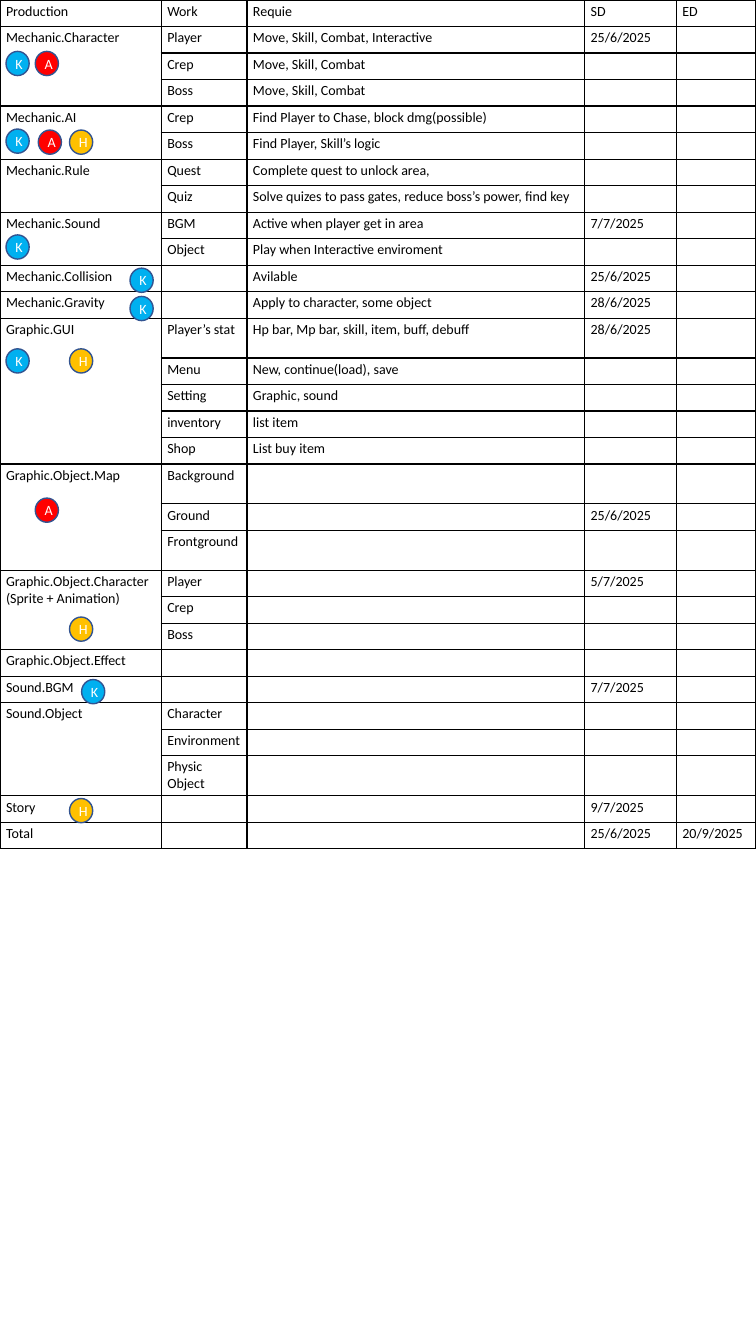
"""Build the game production schedule slide: one task table with member badges."""
from lxml import etree
from pptx import Presentation
from pptx import util as u
from pptx.dml.color import RGBColor
from pptx.enum import shapes, text
from pptx.oxml.ns import qn

COLORS = {"ink": "000000", "white": "FFFFFF", "outline": "325491",
          "K": "00B0F0", "A": "FF0000", "H": "FFC000"}
INSETS = {"left": 0.06, "top": 0.03, "right": 0.06, "bottom": 0.03}


def write(holder, paragraphs, frame, size=10, color="ink", align=None):
    for side, inset in INSETS.items():
        setattr(holder, f"margin_{side}", u.Inches(inset))
    frame.text = paragraphs
    for paragraph in frame.paragraphs:
        paragraph.alignment = align
        if not paragraph.runs:
            paragraph._p.get_or_add_endParaRPr().set("sz", str(size * 100))
        for run in paragraph.runs:
            run.font.size = u.Pt(size)
            run.font.name = "Calibri"
            run.font.color.rgb = RGBColor.from_string(COLORS[color])


def outline_cell(cell):
    cell.fill.background()
    properties = cell._tc.get_or_add_tcPr()
    for position, edge in enumerate(("lnL", "lnR", "lnT", "lnB")):
        border = etree.Element(qn(f"a:{edge}"), w=str(u.Pt(1)))
        fill = etree.SubElement(border, qn("a:solidFill"))
        etree.SubElement(fill, qn("a:srgbClr"), val=COLORS["ink"])
        properties.insert(position, border)


productions = [
    ("Production", [("Work", "Requie", "SD", "ED")]),
    ("Mechanic.Character", [
        ("Player", "Move, Skill, Combat, Interactive", "25/6/2025", ""),
        ("Crep", "Move, Skill, Combat", "", ""),
        ("Boss", "Move, Skill, Combat", "", "")]),
    ("Mechanic.AI", [
        ("Crep", "Find Player to Chase, block dmg(possible)", "", ""),
        ("Boss", "Find Player, Skill’s logic", "", "")]),
    ("Mechanic.Rule", [
        ("Quest", "Complete quest to unlock area,", "", ""),
        ("Quiz", "Solve quizes to pass gates, reduce boss’s power, find key", "", "")]),
    ("Mechanic.Sound", [
        ("BGM", "Active when player get in area", "7/7/2025", ""),
        ("Object", "Play when Interactive enviroment", "", "")]),
    ("Mechanic.Collision", [("", "Avilable", "25/6/2025", "")]),
    ("Mechanic.Gravity", [("", "Apply to character, some object", "28/6/2025", "")]),
    ("Graphic.GUI", [
        ("Player’s stat", "Hp bar, Mp bar, skill, item, buff, debuff", "28/6/2025", ""),
        ("Menu", "New, continue(load), save", "", ""),
        ("Setting", "Graphic, sound", "", ""),
        ("inventory", "list item", "", ""),
        ("Shop", "List buy item", "", "")]),
    ("Graphic.Object.Map", [
        ("Background", "", "", ""),
        ("Ground", "", "25/6/2025", ""),
        ("Frontground", "", "", "")]),
    ("Graphic.Object.Character\n(Sprite + Animation)", [
        ("Player", "", "5/7/2025", ""),
        ("Crep", "", "", ""),
        ("Boss", "", "", "")]),
    ("Graphic.Object.Effect", [("", "", "", "")]),
    ("Sound.BGM", [("", "", "7/7/2025", "")]),
    ("Sound.Object", [
        ("Character", "", "", ""),
        ("Environment", "", "", ""),
        ("Physic Object", "", "", "")]),
    ("Story", [("", "", "9/7/2025", "")]),
    ("Total", [("", "", "25/6/2025", "20/9/2025")]),
]
tall_works = {"Player’s stat", "Background", "Frontground", "Physic Object"}
column_widths = [1.6, 0.85, 3.35, 0.91, 0.79]
table_height = 8.42

deck = Presentation()
deck.slide_width, deck.slide_height = u.Inches(7.5), u.Inches(13.33)
slide = deck.slides.add_slide(deck.slide_layouts[6])

task_count = sum(len(tasks) for _, tasks in productions)
row_height = table_height / (task_count + len(tall_works) / 2)
schedule = slide.shapes.add_table(task_count, len(column_widths), 0, 0,
                                  deck.slide_width, u.Inches(table_height)).table
schedule.first_row = schedule.horz_banding = False
for column, width in zip(schedule.columns, column_widths):
    column.width = u.Inches(width)

row = 0
for production, tasks in productions:
    first_row = row
    for task in tasks:
        schedule.rows[row].height = u.Inches(row_height * (1.5 if task[0] in tall_works else 1))
        label = production if row == first_row else ""
        for column, content in enumerate((label, *task)):
            cell = schedule.cell(row, column)
            write(cell, content, cell.text_frame)
            outline_cell(cell)
        row += 1
    if len(tasks) > 1:
        schedule.cell(first_row, 0).merge(schedule.cell(row - 1, 0))

badges = [
    ("K", 0.06, 0.51), ("A", 0.35, 4.94), ("H", 0.69, 7.92),
    ("K", 0.06, 1.28), ("A", 0.38, 1.29), ("H", 0.69, 1.29),
    ("A", 0.35, 0.51), ("K", 0.06, 2.33), ("K", 1.29, 2.66),
    ("K", 1.29, 2.94), ("H", 0.69, 3.46), ("K", 0.06, 3.46),
    ("H", 0.69, 6.12), ("K", 0.81, 6.74),
]
for member, left, top in badges:
    badge = slide.shapes.add_shape(shapes.MSO_SHAPE.OVAL, u.Inches(left), u.Inches(top),
                                   u.Inches(0.23), u.Inches(0.24))
    badge.shadow.inherit = False
    badge.fill.solid()
    badge.fill.fore_color.rgb = RGBColor.from_string(COLORS[member])
    badge.line.color.rgb = RGBColor.from_string(COLORS["outline"])
    badge.line.width = u.Pt(1)
    badge.text_frame.vertical_anchor = text.MSO_ANCHOR.MIDDLE
    write(badge.text_frame, member, badge.text_frame, size=10.1, color="white",
          align=text.PP_ALIGN.CENTER)

deck.save("out.pptx")
